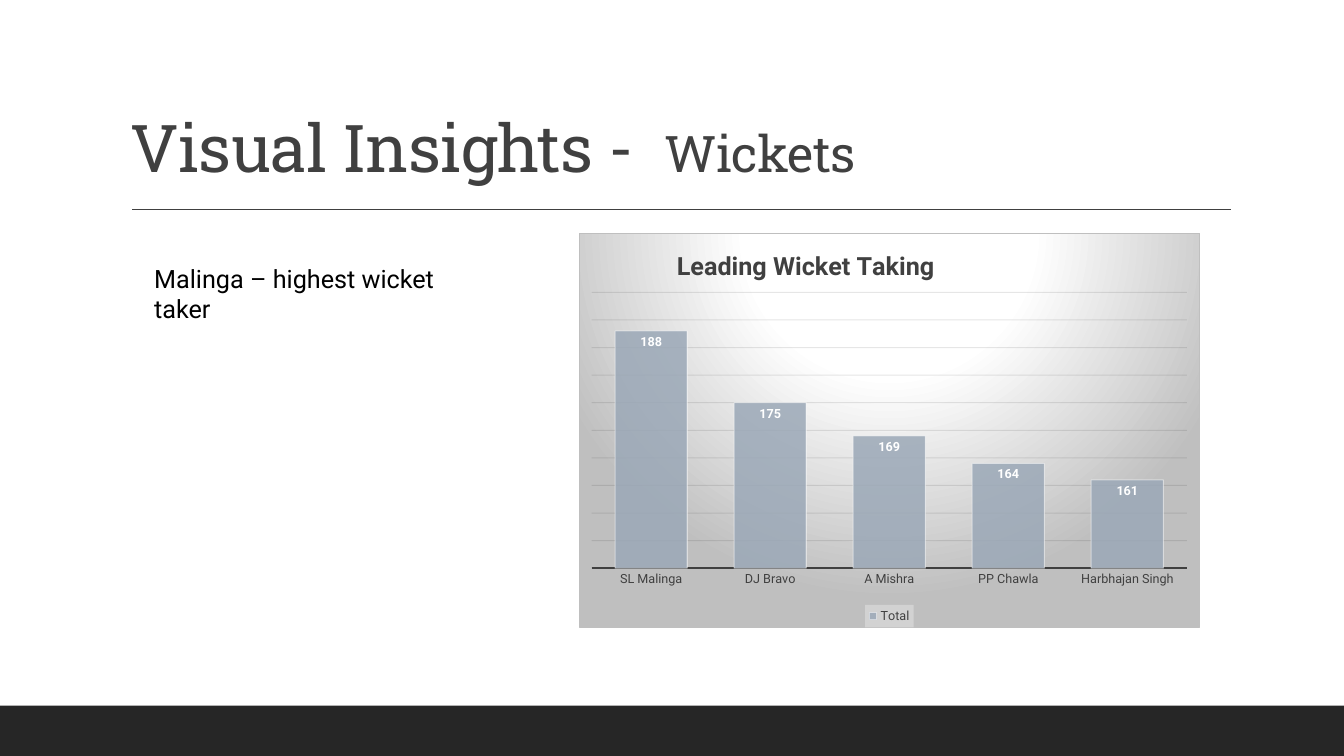
from dataclasses import dataclass

from lxml.etree import SubElement
from pptx import Presentation
from pptx.chart.data import CategoryChartData
from pptx.dml.color import RGBColor
from pptx.enum.chart import XL_CHART_TYPE, XL_LABEL_POSITION, XL_LEGEND_POSITION, XL_TICK_MARK
from pptx.enum.shapes import MSO_CONNECTOR, MSO_SHAPE
from pptx.enum.text import MSO_ANCHOR
from pptx.oxml import parse_xml
from pptx.oxml.ns import nsdecls, qn
from pptx.util import Inches, Pt


@dataclass(frozen=True)
class Theme:
    heading_font: str = "Roboto Slab"
    body_font: str = "Roboto"
    dark: str = "404040"
    footer: str = "262626"
    black: str = "000000"
    white: str = "FFFFFF"
    bar: str = "9BA8B7"
    gray: str = "BFBFBF"
    grid: str = "0D0D0D"
    legend: str = "F2F2F2"
    title_size: float = 47
    subtitle_size: float = 36
    body_size: float = 18
    chart_size: float = 10
    label_size: float = 9


THEME = Theme()
WICKETS = {
    "SL Malinga": 188,
    "DJ Bravo": 175,
    "A Mishra": 169,
    "PP Chawla": 164,
    "Harbhajan Singh": 161,
}


def apply_values(target, values):
    for name, value in values.items():
        setattr(target, name, value)


def style_font(font, size, color, name=THEME.body_font, bold=False):
    apply_values(font, {"size": Pt(size), "name": name, "bold": bold})
    font.color.rgb = RGBColor.from_string(color)


def style_line(line, color, width):
    line.color.rgb = RGBColor.from_string(color)
    line.width = Pt(width)


def add_text_frame(slide, box, anchor):
    frame = slide.shapes.add_textbox(*map(Inches, box)).text_frame
    apply_values(frame, {"word_wrap": True, "vertical_anchor": anchor})
    return frame


def add_frame(slide, width, height):
    footer_height = 0.5
    footer = slide.shapes.add_shape(
        MSO_SHAPE.RECTANGLE, 0, Inches(height - footer_height), Inches(width), Inches(footer_height)
    )
    footer.shadow.inherit = False
    footer.fill.solid()
    footer.fill.fore_color.rgb = RGBColor.from_string(THEME.footer)
    footer.line.fill.background()


def add_heading(slide, box):
    left, top, width, height = box
    rule_left, rule_top = left + 0.11, top + height + 0.18
    rule = slide.shapes.add_connector(
        MSO_CONNECTOR.STRAIGHT, *map(Inches, (rule_left, rule_top, rule_left + 10.9, rule_top))
    )
    style_line(rule.line, THEME.dark, 1)
    SubElement(rule.element.spPr, qn("a:effectLst"))

    paragraph = add_text_frame(slide, box, MSO_ANCHOR.BOTTOM).paragraphs[0]
    paragraph.line_spacing = 0.9
    for text, size, spacing in (
        ("Visual Insights -", THEME.title_size, -50),
        (" ", THEME.title_size, 1050),
        ("Wickets", THEME.subtitle_size, -50),
    ):
        run = paragraph.add_run()
        run.text = text
        style_font(run.font, size, THEME.dark, THEME.heading_font)
        run.font._element.set("spc", str(spacing))


def add_insight(slide, box):
    run = add_text_frame(slide, box, MSO_ANCHOR.TOP).paragraphs[0].add_run()
    run.text = "Malinga – highest wicket taker"
    style_font(run.font, THEME.body_size, THEME.black)


def make_layout(**fractions):
    target = '<c:layoutTarget val="inner"/>' if "w" in fractions else ""
    modes = "".join(f'<c:{key}Mode val="edge"/>' for key in ("x", "y"))
    values = "".join(f'<c:{key} val="{value}"/>' for key, value in fractions.items())
    return parse_xml(
        f'<c:layout {nsdecls("c")}><c:manualLayout>{target}{modes}{values}</c:manualLayout></c:layout>'
    )


def place_layout(parent, index, layout):
    for existing in parent.findall(qn("c:layout")):
        parent.remove(existing)
    parent.insert(index, layout)


def set_opacity(chart_space, query, percent):
    for color in chart_space.xpath(f"{query}//a:srgbClr"):
        SubElement(color, qn("a:alpha")).set("val", str(percent * 1000))


def decorate_chart(chart_space):
    set_opacity(chart_space, ".//c:ser/c:spPr/a:solidFill", 85)
    set_opacity(chart_space, ".//c:ser/c:spPr/a:ln", 50)
    set_opacity(chart_space, ".//c:majorGridlines", 10)

    place_layout(chart_space.xpath(".//c:chart/c:title")[0], 1, make_layout(x=0.15, y=0.03))
    place_layout(
        chart_space.xpath(".//c:plotArea")[0], 0, make_layout(x=0.02, y=0.15, w=0.96, h=0.7)
    )

    legend_text = chart_space.xpath(".//c:legend/c:txPr")[0]
    legend_text.addprevious(parse_xml(
        f'<c:spPr {nsdecls("c", "a")}><a:solidFill><a:srgbClr val="{THEME.legend}">'
        '<a:alpha val="39000"/></a:srgbClr></a:solidFill></c:spPr>'
    ))

    stops = "".join(
        f'<a:gs pos="{position * 1000}"><a:srgbClr val="{color}"/></a:gs>'
        for position, color in ((0, THEME.white), (39, THEME.white), (100, THEME.gray))
    )
    chart_space.find(qn("c:chart")).addnext(parse_xml(
        f'<c:spPr {nsdecls("c", "a")}><a:gradFill><a:gsLst>{stops}</a:gsLst>'
        '<a:path path="circle"><a:fillToRect l="50000" t="-80000" r="50000" b="180000"/></a:path>'
        f'</a:gradFill><a:ln w="9525"><a:solidFill><a:srgbClr val="{THEME.gray}"/></a:solidFill></a:ln>'
        '</c:spPr>'
    ))


def add_wicket_chart(slide, box):
    data = CategoryChartData()
    data.categories = list(WICKETS)
    data.add_series("Total", list(WICKETS.values()))
    chart = slide.shapes.add_chart(
        XL_CHART_TYPE.COLUMN_CLUSTERED, *map(Inches, box), data
    ).chart
    style_font(chart.font, THEME.chart_size, THEME.black)

    title_run = chart.chart_title.text_frame.paragraphs[0].add_run()
    title_run.text = "Leading Wicket Taking"
    style_font(title_run.font, THEME.body_size, THEME.dark, bold=True)

    chart.has_legend = True
    apply_values(chart.legend, {"position": XL_LEGEND_POSITION.BOTTOM, "include_in_layout": False})
    style_font(chart.legend.font, THEME.label_size, THEME.dark)

    category_axis, value_axis = chart.category_axis, chart.value_axis
    category_axis.major_tick_mark = XL_TICK_MARK.NONE
    style_font(category_axis.tick_labels.font, THEME.label_size, THEME.dark)
    style_line(category_axis.format.line, THEME.dark, 1.5)
    apply_values(value_axis, {
        "minimum_scale": 145, "maximum_scale": 195, "major_unit": 5,
        "has_major_gridlines": True, "visible": False,
    })
    style_line(value_axis.major_gridlines.format.line, THEME.grid, 0.75)

    plot = chart.plots[0]
    apply_values(plot, {"gap_width": 65, "vary_by_categories": False})
    series = plot.series[0]
    series.format.fill.solid()
    series.format.fill.fore_color.rgb = RGBColor.from_string(THEME.bar)
    style_line(series.format.line, THEME.white, 0.75)
    labels = series.data_labels
    apply_values(labels, {"show_value": True, "position": XL_LABEL_POSITION.INSIDE_END})
    style_font(labels.font, THEME.label_size, THEME.white, bold=True)
    decorate_chart(chart.element)


def main():
    width, height = 13.33, 7.5
    presentation = Presentation()
    apply_values(presentation, {"slide_width": Inches(width), "slide_height": Inches(height)})
    slide = presentation.slides.add_slide(presentation.slide_layouts[6])
    add_frame(slide, width, height)
    add_heading(slide, (1.2, 0.31, 11, 1.59))
    add_insight(slide, (1.43, 2.56, 3.45, 0.4))
    add_wicket_chart(slide, (5.74, 2.31, 6.16, 3.92))
    presentation.save("out.pptx")


if __name__ == "__main__":
    main()
